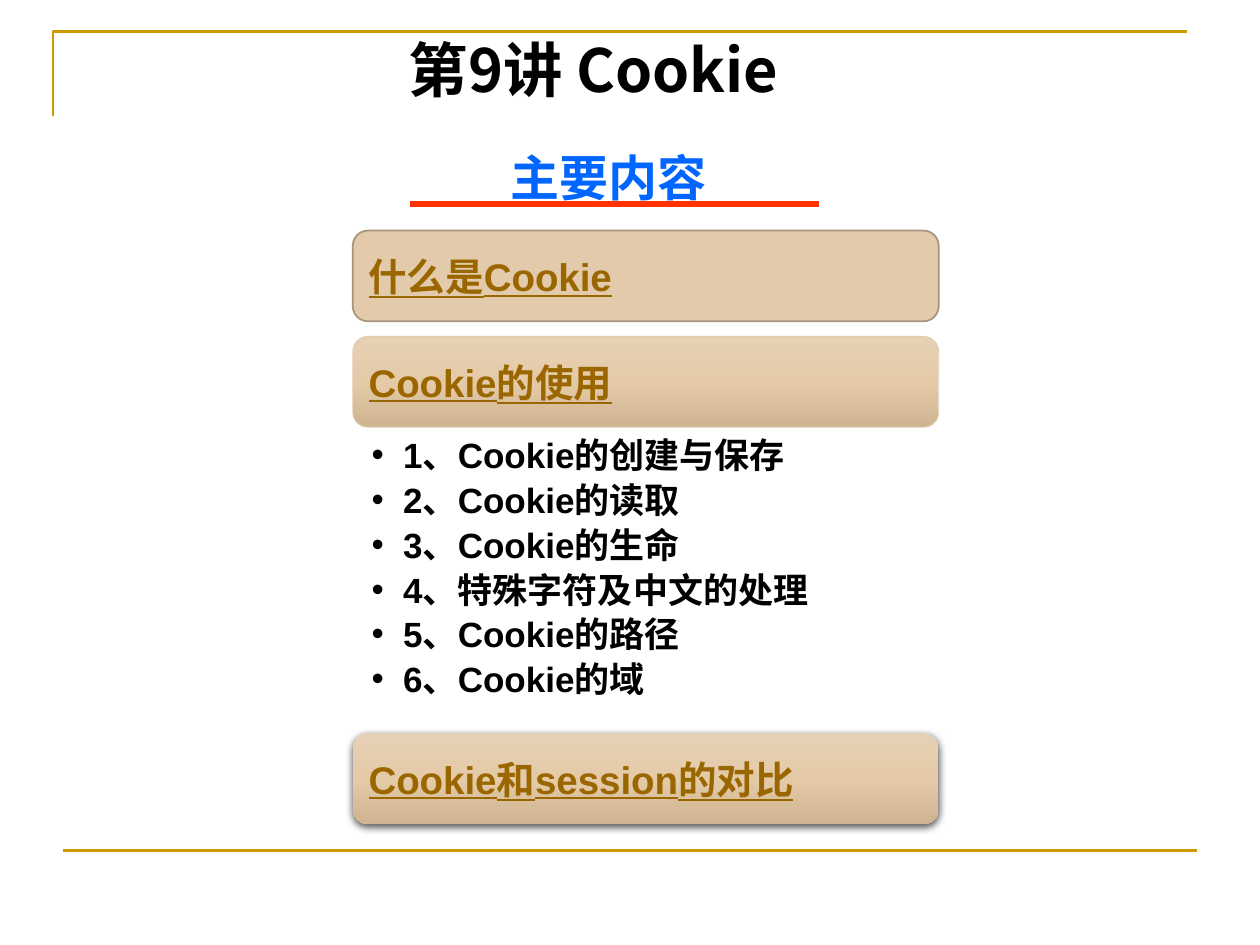
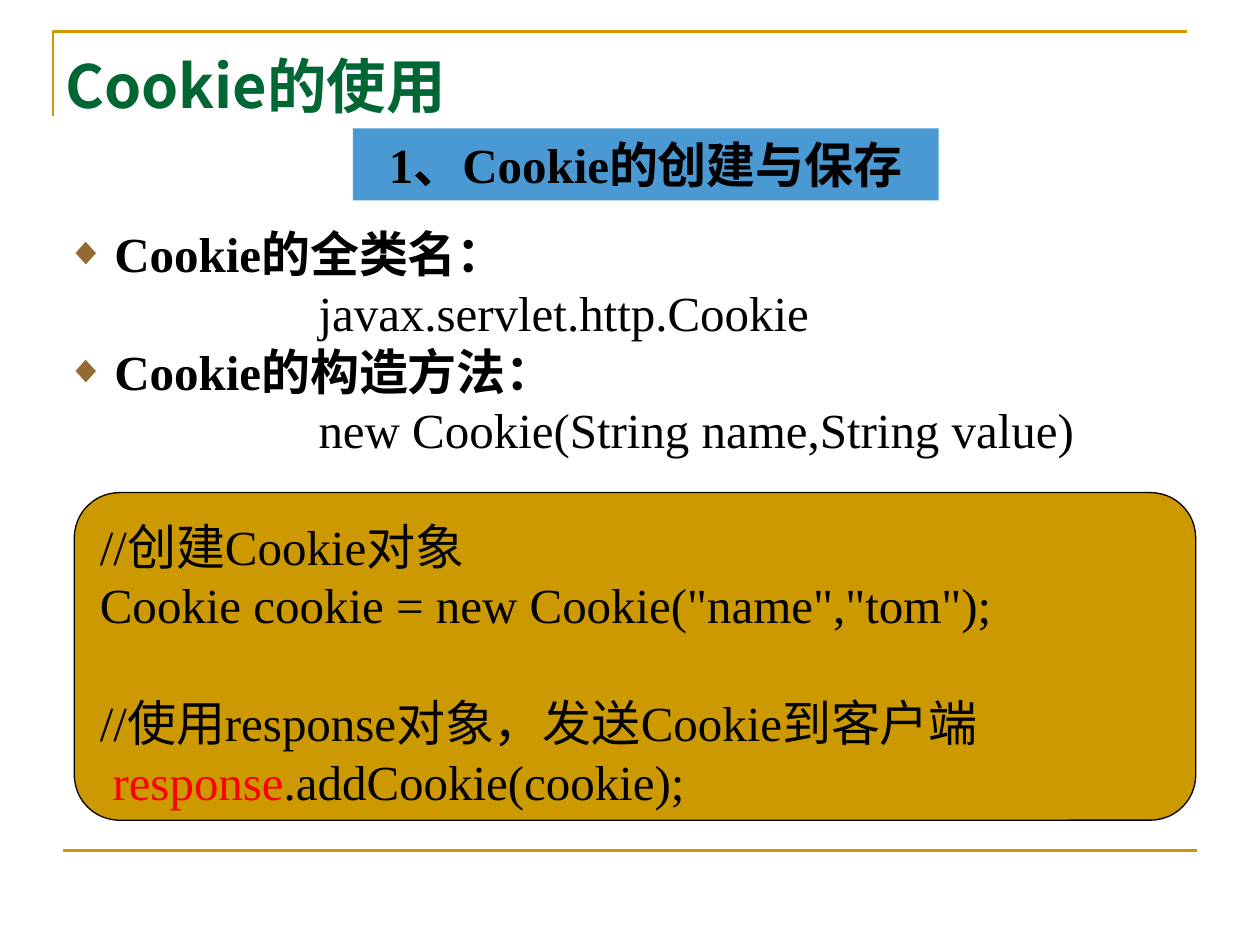
import copy

from pptx import Presentation
from pptx.dml.color import RGBColor
from pptx.enum import shapes, text
from pptx.oxml import ns, xmlchemy
from pptx.util import Inches, Pt

GOLD, BROWN, TAN, BLACK = "CC9900", "996600", "E2CAAA", "000000"
SANS, SERIF, CJK = "Arial", "Times New Roman", "Noto Sans CJK SC"
BAR_GRADIENT = ["E6D1B5", "E5CAA7", "CFB491"]
COLUMN_LEFT, COLUMN_WIDTH = 2.8, 4.65


def rgb(hex_color):
    return RGBColor.from_string(hex_color)


def add_xml(parent, tag, **attributes):
    element = xmlchemy.OxmlElement(tag)
    for name, value in attributes.items():
        element.set(name, str(value))
    parent.append(element)
    return element


def box(left, top, width, height):
    return [Inches(value) for value in (left, top, width, height)]


def place(shape, left, top, width, height):
    shape.left, shape.top, shape.width, shape.height = box(left, top, width, height)


def set_font(font, name, size, color, bold=False):
    """Format a paragraph or run font, with the shared East Asian face."""
    font.name, font.size, font.bold = name, Pt(size), bold
    font.color.rgb = rgb(color)
    add_xml(font._element, "a:ea", typeface=CJK)


def set_frame(shape, anchor=text.MSO_ANCHOR.TOP, wrap=True, insets=(0.1, 0.05)):
    frame = shape.text_frame
    frame.word_wrap, frame.auto_size = wrap, text.MSO_AUTO_SIZE.NONE
    frame.vertical_anchor = anchor
    frame.margin_left = frame.margin_right = Inches(insets[0])
    frame.margin_top = frame.margin_bottom = Inches(insets[1])
    return frame


def add_paragraph(frame, content, name, size, color, bold=False, spacing=None,
                  align=text.PP_ALIGN.LEFT):
    paragraph = frame.paragraphs[0]
    if paragraph.runs:
        paragraph = frame.add_paragraph()
    paragraph.alignment = align
    if spacing:
        paragraph.line_spacing = Pt(spacing)
    run = paragraph.add_run()
    run.text = content
    # East Asian glyphs take their face from the run, so it is set there.
    set_font(run.font, name, size, color, bold)
    return paragraph


def set_indent(paragraph, margin, hanging=0.0):
    properties = paragraph._p.get_or_add_pPr()
    properties.set("marL", str(Inches(margin)))
    properties.set("indent", str(-Inches(hanging)))
    return properties


def set_bullet(paragraph, character, hanging, color=BLACK, percent=100):
    properties = set_indent(paragraph, hanging, hanging)
    add_xml(add_xml(properties, "a:buClr"), "a:srgbClr", val=color)
    add_xml(properties, "a:buSzPct", val=percent * 1000)
    add_xml(properties, "a:buFont", typeface=SANS)
    add_xml(properties, "a:buChar", char=character)


def set_line(shape, color, width):
    shape.line.color.rgb, shape.line.width = rgb(color), Pt(width)


def add_rule(slide, left, top, right, color, width):
    rule = slide.shapes.add_connector(shapes.MSO_CONNECTOR.STRAIGHT,
                                      *box(left, top, right, top))
    set_line(rule, color, width)
    add_xml(rule._element.spPr, "a:effectLst")


def add_plain_shape(slide, kind, area, fill=None):
    shape = slide.shapes.add_shape(kind, *box(*area))
    shape.shadow.inherit = False
    shape.line.fill.background()
    if fill:
        shape.fill.solid()
        shape.fill.fore_color.rgb = rgb(fill)
    return shape


def add_framed_slide(presentation, layout_index):
    """Add a slide with the gold corner at the top and the rule at the foot."""
    slide = presentation.slides.add_slide(presentation.slide_layouts[layout_index])
    builder = slide.shapes.build_freeform(Inches(0.42), Inches(0.92))
    builder.add_line_segments([(Inches(0.42), Inches(0.25)),
                               (Inches(9.42), Inches(0.25))], close=False)
    corner = builder.convert_to_shape()
    corner.shadow.inherit = False
    corner.fill.background()
    set_line(corner, GOLD, 1.5)
    add_rule(slide, 0.5, 6.75, 9.5, GOLD, 1.5)
    return slide


def set_title(slide, content, area, color, align, anchor):
    title = slide.shapes.title
    place(title, *area)
    add_paragraph(set_frame(title, anchor), content, CJK, 34, color, True, align=align)


def fill_bar_gradient(bar):
    bar.fill.gradient()
    bar.fill.gradient_angle = 270
    stop_list = bar._element.spPr.find(".//" + ns.qn("a:gsLst"))
    stop_list.insert(1, copy.deepcopy(stop_list[0]))
    for index, (stop, color) in enumerate(zip(bar.fill.gradient_stops, BAR_GRADIENT)):
        stop.position = index / 2
        stop.color.rgb = rgb(color)


def add_bar_shadow(bar):
    effects = bar._element.spPr.find(ns.qn("a:effectLst"))
    shadow = add_xml(effects, "a:outerShdw", blurRad=Pt(4.5), dist=Pt(1.5),
                     dir=90 * 60000, rotWithShape=0)
    color = add_xml(shadow, "a:srgbClr", val=BLACK)
    add_xml(color, "a:alpha", val=63000)


def add_topic_bar(slide, content, top, height):
    bar = add_plain_shape(slide, shapes.MSO_SHAPE.ROUNDED_RECTANGLE,
                          (COLUMN_LEFT, top, COLUMN_WIDTH, height), TAN)
    frame = set_frame(bar, text.MSO_ANCHOR.MIDDLE, insets=(0.09, 0.09))
    paragraph = add_paragraph(frame, content, SANS, 22, BROWN, True)
    paragraph.runs[0].font.underline = True
    return bar


def add_subtopics(slide, items, top, height):
    area = slide.shapes.add_textbox(*box(COLUMN_LEFT, top, COLUMN_WIDTH, height))
    frame = set_frame(area, insets=(0.15, 0.03))
    for number, item in enumerate(items, 1):
        paragraph = add_paragraph(frame, f"{number}、{item}", SANS, 20, BLACK, True, 25.6)
        set_bullet(paragraph, "•", 0.25)


def add_topics(slide, top):
    height, gap, list_height = 0.72, 0.12, 2.43
    usage_top = top + height + gap
    list_top = usage_top + height

    definition = add_topic_bar(slide, "什么是Cookie", top, height)
    set_line(definition, "A7957E", 1)

    usage = add_topic_bar(slide, "Cookie的使用", usage_top, height)
    fill_bar_gradient(usage)
    set_line(usage, TAN, 0.5)
    add_subtopics(slide, ["Cookie的创建与保存", "Cookie的读取", "Cookie的生命",
                          "特殊字符及中文的处理", "Cookie的路径", "Cookie的域"],
                  list_top, list_height)

    comparison = add_topic_bar(slide, "Cookie和session的对比",
                               list_top + list_height, height)
    fill_bar_gradient(comparison)
    add_bar_shadow(comparison)


def build_contents_slide(presentation):
    slide = add_framed_slide(presentation, 1)
    set_title(slide, "第9讲 Cookie", (1.19, 0.21, 7.04, 1.13), BLACK,
              text.PP_ALIGN.CENTER, text.MSO_ANCHOR.TOP)
    body = slide.placeholders[1]
    place(body, 0.33, 0.85, 9, 5.5)
    heading = add_paragraph(set_frame(body), "主要内容", SANS, 28, "0066FF", True, 53,
                            text.PP_ALIGN.CENTER)
    heading.space_before = Pt(0)
    add_xml(set_indent(heading, 0), "a:buNone")
    add_rule(slide, 3.25, 1.62, 6.5, "FF3300", 3)
    add_topics(slide, 1.83)


def add_section_label(slide, content, top):
    label = add_plain_shape(slide, shapes.MSO_SHAPE.RECTANGLE,
                            (COLUMN_LEFT, top, COLUMN_WIDTH, 0.57), "0070C0")
    color = label._element.spPr.find(ns.qn("a:solidFill"))[0]
    add_xml(color, "a:alpha", val=71000)
    add_paragraph(set_frame(label, text.MSO_ANCHOR.MIDDLE, wrap=False), content,
                  SERIF, 28, BLACK, True, align=text.PP_ALIGN.CENTER)


def add_class_facts(slide, facts, area):
    frame = set_frame(slide.shapes.add_textbox(*box(*area)))
    for term, detail in facts:
        paragraph = add_paragraph(frame, term, SERIF, 28, BLACK, True, 33.7)
        set_bullet(paragraph, "◆", 0.38, "946A32", 80)
        set_indent(add_paragraph(frame, detail, SERIF, 28, BLACK, spacing=33.7), 2)


def add_code_panel(slide, area):
    panel = add_plain_shape(slide, shapes.MSO_SHAPE.ROUNDED_RECTANGLE, area, GOLD)
    panel.adjustments[0] = 0.138
    set_line(panel, BLACK, 0.75)
    frame = set_frame(panel, insets=(0.1, 0.08))
    lines = [add_paragraph(frame, content, SERIF, 28, BLACK, spacing=33.7)
             for content in ("//创建Cookie对象",
                             'Cookie cookie = new Cookie("name","tom");',
                             "//使用response对象，发送Cookie到客户端",
                             "response")]
    lines[2].space_before = Pt(33.7)
    call = lines[3]
    set_indent(call, 0.1)
    call.runs[0].font.color.rgb = rgb("FF0000")
    method = call.add_run()
    method.text = ".addCookie(cookie);"
    set_font(method.font, SERIF, 28, BLACK)


def build_creation_slide(presentation):
    slide = add_framed_slide(presentation, 5)
    set_title(slide, "Cookie的使用", (0.42, -0.12, 6.15, 1.13), "006633",
              text.PP_ALIGN.LEFT, text.MSO_ANCHOR.BOTTOM)
    add_class_facts(slide, [("Cookie的全类名：", "javax.servlet.http.Cookie"),
                            ("Cookie的构造方法：", "new Cookie(String name,String value)")],
                    (0.43, 1.72, 9.13, 2.1))
    add_section_label(slide, "1、Cookie的创建与保存", 1.02)
    add_code_panel(slide, (0.59, 3.91, 8.9, 2.6))


def main():
    presentation = Presentation()
    presentation.slide_width, presentation.slide_height = Inches(10), Inches(7.5)
    build_contents_slide(presentation)
    build_creation_slide(presentation)
    presentation.save("out.pptx")


if __name__ == "__main__":
    main()
